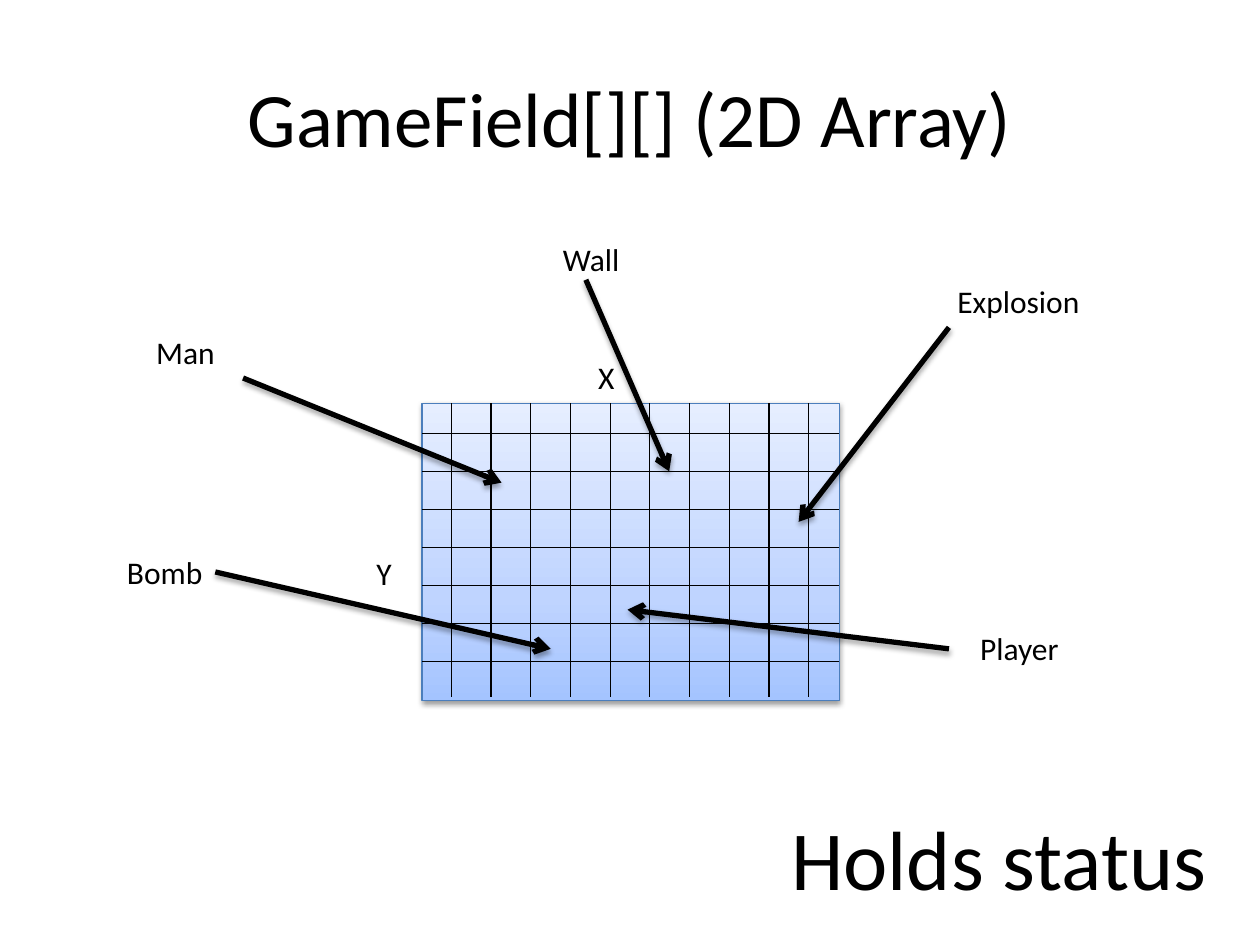
import copy

import pptx
import pptx.dml.color
import pptx.enum.shapes
import pptx.enum.text
import pptx.oxml
import pptx.oxml.ns
import pptx.util

Cm, Pt = pptx.util.Cm, pptx.util.Pt
qn = pptx.oxml.ns.qn

COLORS = {
    "ink": "000000",
    "border": "4B7EBC",
    "field_bottom": "A4C4FF",
    "field_middle": "BFD4FF",
    "field_top": "E6EEFF",
}


def rgb(name):
    return pptx.dml.color.RGBColor.from_string(COLORS[name])


class SlideBuilder:
    font = "Calibri"

    def __init__(self, slide):
        self.s = slide

    def text(self, text, x, y, w, h=1.02, size=18, **frame):
        sp = self.s.shapes.add_textbox(Cm(x), Cm(y), Cm(w), Cm(h))
        tf = sp.text_frame
        settings = {
            "word_wrap": False,
            "auto_size": pptx.enum.text.MSO_AUTO_SIZE.SHAPE_TO_FIT_TEXT,
        }
        align = frame.pop("align", None)
        for name, value in {**settings, **frame}.items():
            setattr(tf, name, value)
        p = tf.paragraphs[0]
        p.alignment = align
        r = p.add_run()
        r.text = text
        for name, value in {"name": self.font, "size": Pt(size)}.items():
            setattr(r.font, name, value)
        r.font.color.rgb = rgb("ink")

    def effects(self, sp, dist=None, alpha=35):
        """Give a soft downward shadow, or none when dist is missing."""
        spPr = sp._element.spPr
        effects = spPr.makeelement(qn("a:effectLst"), {})
        spPr.append(effects)
        if dist:
            shadow = pptx.oxml.parse_xml(
                f'<a:outerShdw {pptx.oxml.ns.nsdecls("a")} blurRad="{Pt(3.1)}" '
                f'dist="{Pt(dist)}" dir="5400000" rotWithShape="0">'
                f'<a:srgbClr val="{COLORS["ink"]}">'
                f'<a:alpha val="{alpha * 1000}"/></a:srgbClr></a:outerShdw>')
            effects.append(shadow)

    def field(self, x, y, w, h):
        sp = self.s.shapes.add_shape(
            pptx.enum.shapes.MSO_SHAPE.RECTANGLE, Cm(x), Cm(y), Cm(w), Cm(h))
        sp.fill.gradient()
        sp.fill.gradient_angle = 90
        stops = sp._element.spPr.find(".//" + qn("a:gsLst"))
        stops.append(copy.deepcopy(stops[0]))
        levels = [(0, "field_bottom"), (0.35, "field_middle"), (1, "field_top")]
        for stop, (position, color) in zip(sp.fill.gradient_stops, levels):
            stop.position = position
            stop.color.rgb = rgb(color)
        sp.line.color.rgb = rgb("border")
        sp.line.width = Pt(0.75)
        self.effects(sp, dist=1.6, alpha=38)

    def line(self, x1, y1, x2, y2, width=0.75):
        sp = self.s.shapes.add_connector(
            pptx.enum.shapes.MSO_CONNECTOR.STRAIGHT,
            Cm(x1), Cm(y1), Cm(x2), Cm(y2))
        sp.line.color.rgb = rgb("ink")
        sp.line.width = Pt(width)
        return sp

    def grid_line(self, *ends):
        self.effects(self.line(*ends))

    def arrow(self, *ends):
        sp = self.line(*ends, width=3)
        ln = sp.line._get_or_add_ln()
        ln.append(ln.makeelement(qn("a:tailEnd"), {"type": "arrow"}))
        self.effects(sp, dist=1.8)


def main():
    prs = pptx.Presentation()
    prs.slide_width, prs.slide_height = Cm(25.4), Cm(19.05)
    b = SlideBuilder(prs.slides.add_slide(prs.slide_layouts[6]))

    # Title
    b.text("GameField[][] (2D Array)", 1.27, 0.76, 22.86, 3.18, 44,
           word_wrap=True, auto_size=pptx.enum.text.MSO_AUTO_SIZE.NONE,
           vertical_anchor=pptx.enum.text.MSO_ANCHOR.MIDDLE,
           align=pptx.enum.text.PP_ALIGN.CENTER)

    # Game field with its axes
    left, top, width, height = 8.51, 8.13, 8.41, 6
    b.field(left, top, width, height)
    b.text("X", 11.81, 7.09, 0.84)
    b.text("Y", 7.34, 11.05, 0.81)

    # Grid: 7 rows lines and 10 column lines, evenly spaced
    first_y, last_y, rows = 8.74, 13.33, 7
    for i in range(rows):
        y = first_y + i * (last_y - first_y) / (rows - 1)
        b.grid_line(left, y, left + width, y)
    first_x, last_x, columns = 9.1, 16.3, 10
    for i in range(columns):
        x = first_x + i * (last_x - first_x) / (columns - 1)
        b.grid_line(x, 14.05, x, top)

    # Caption
    b.text("Holds status", 15.7, 16.13, 8.97, 2.31, 48)

    # Cell contents: label, its box, and the arrow into the field
    contents = [
        ("Man", (2.9, 6.58, 1.7), (4.9, 7.62, 10.11, 9.73)),
        ("Bomb", (2.31, 11.02, 2.06), (4.34, 11.53, 11.1, 13.08)),
        ("Wall", (11.1, 4.72, 1.65), (11.81, 5.64, 13.49, 9.5)),
        ("Explosion", (19.05, 5.56, 3), (19.13, 6.6, 16.1, 10.52)),
        ("Player", (19.51, 12.55, 2.11), (19.13, 13.08, 12.65, 12.29)),
    ]
    for label, box, ends in contents:
        b.text(label, *box)
        b.arrow(*ends)

    prs.save("out.pptx")


if __name__ == "__main__":
    main()
